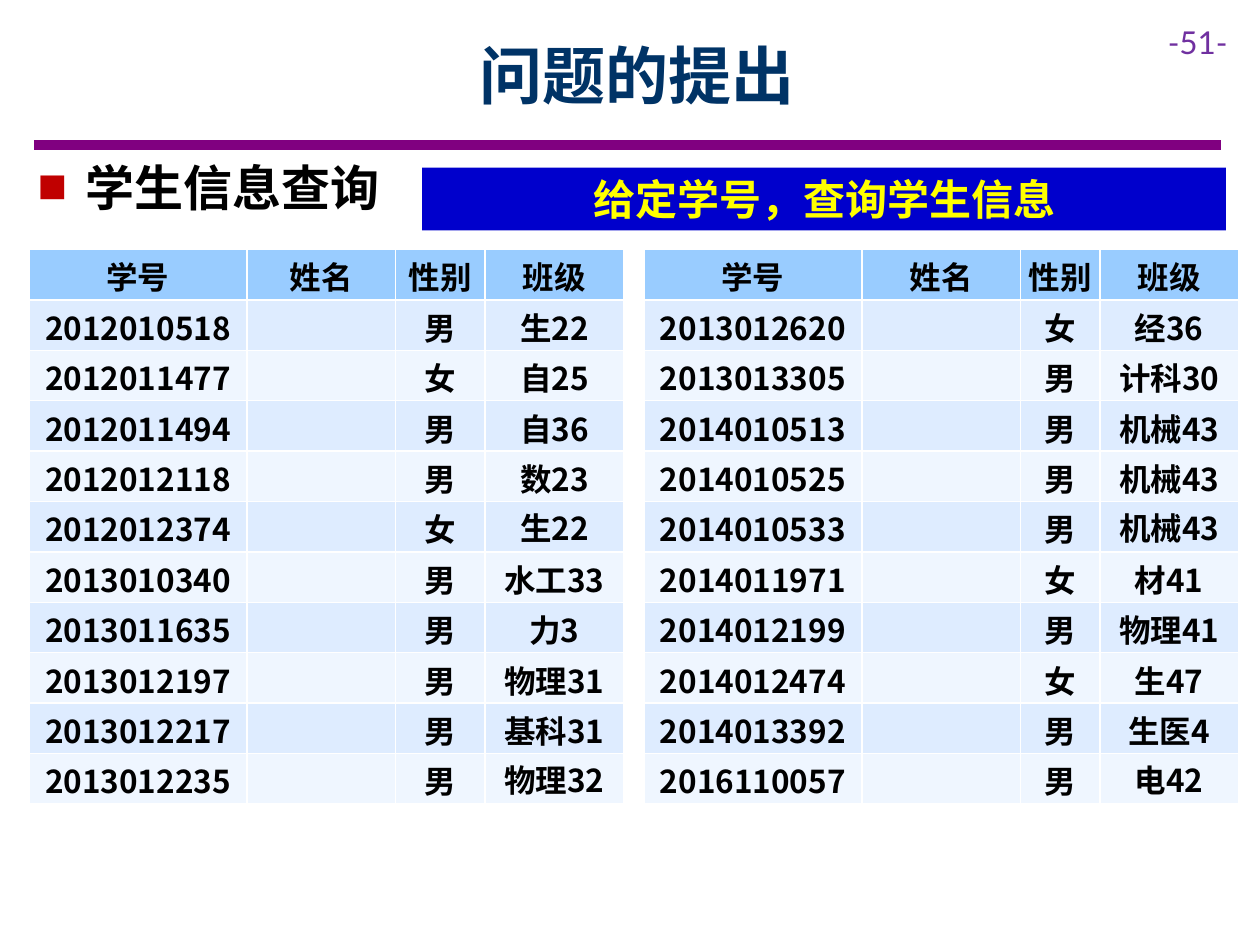
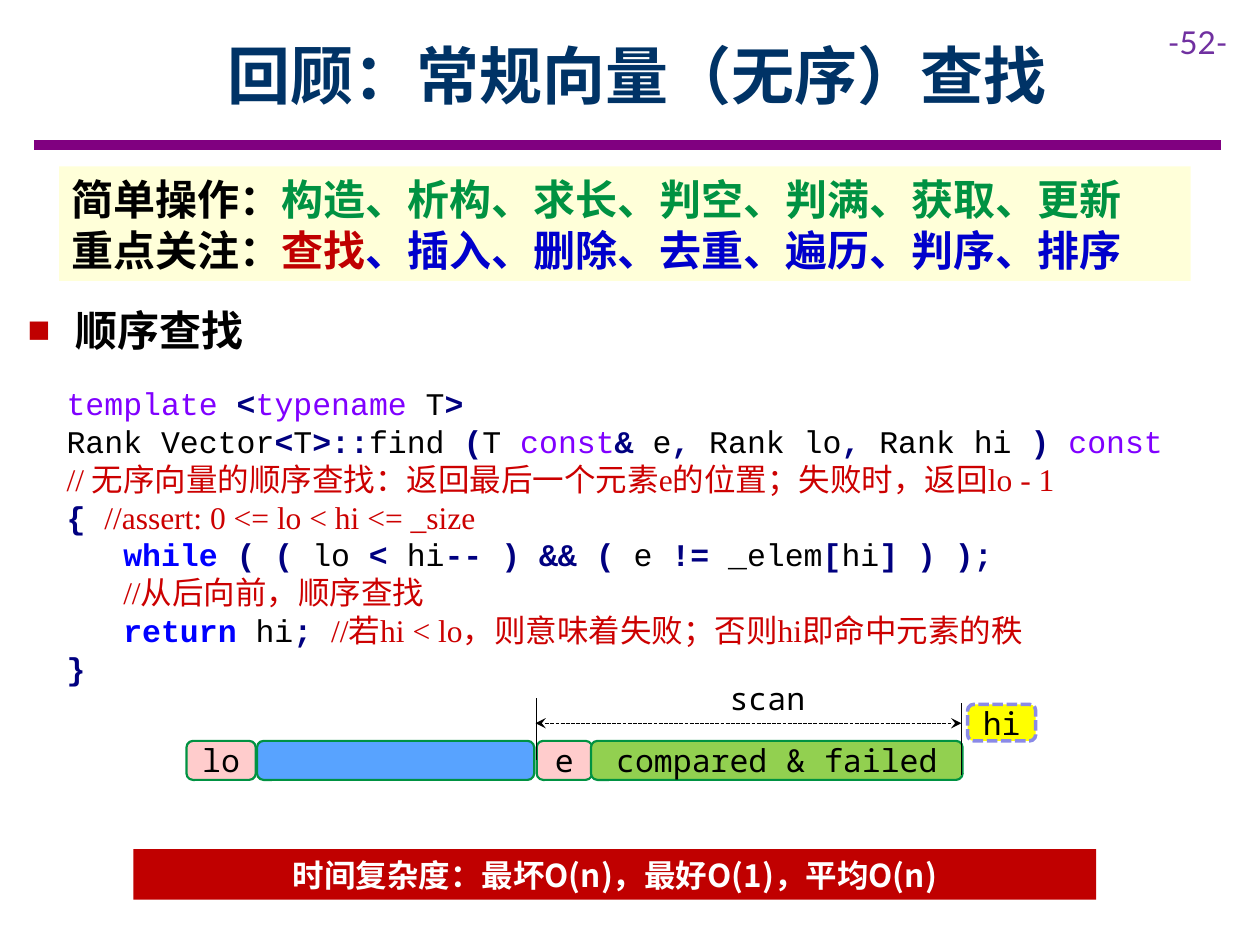
"""Build two lecture slides on searching: a student lookup and sequential search."""
from lxml import etree
from pptx import Presentation, util as u
from pptx.dml.color import RGBColor
from pptx.enum import dml, shapes, text
from pptx.oxml.ns import qn

rgb = RGBColor.from_string
CENTER, LEFT = text.PP_ALIGN.CENTER, text.PP_ALIGN.LEFT
MIDDLE, TOP = text.MSO_ANCHOR.MIDDLE, text.MSO_ANCHOR.TOP
RECT, ROUNDED = shapes.MSO_SHAPE.RECTANGLE, shapes.MSO_SHAPE.ROUNDED_RECTANGLE
SANS, MONO, COURIER, SERIF = "Noto Sans CJK SC", "Noto Sans Mono", "Courier New", "Times New Roman"
BLACK, NAVY, GREEN, RED, BLUE = "000000", "003366", "009242", "C00000", "0000CC"

presentation = Presentation()
presentation.slide_width, presentation.slide_height = u.Inches(10), u.Inches(7.5)
GRID = presentation.slide_width // 100


def write(frame, lines, size, align=CENTER, spacing=None):
    """Fill a text frame with lines of (text, (font, colour, bold)) runs."""
    for index, line in enumerate(lines):
        paragraph = frame.add_paragraph() if index else frame.paragraphs[0]
        paragraph.alignment = align
        if spacing:
            paragraph.line_spacing = u.Pt(spacing)
        for content, (name, colour, bold) in line:
            run = paragraph.add_run()
            run.text = content
            run.font.name, run.font.size, run.font.bold = name, u.Pt(size), bold
            run.font.color.rgb = rgb(colour)
            east_asian = etree.SubElement(run.font._element, qn("a:ea"))
            east_asian.set("typeface", SANS)


def add_box(slide, place, kind=None, fill=None, outline=None, anchor=MIDDLE):
    """Add a text box, or a filled preset shape, placed in grid units."""
    place = [round(value * GRID) for value in place]
    if kind is None:
        shape = slide.shapes.add_textbox(*place)
    else:
        shape = slide.shapes.add_shape(kind, *place)
        shape.shadow.inherit = False
        shape.fill.solid()
        shape.fill.fore_color.rgb = rgb(fill)
        if outline:
            shape.line.color.rgb = rgb(outline)
            shape.line.width = u.Pt(1.25)
        else:
            shape.line.fill.background()
    frame = shape.text_frame
    frame.word_wrap, frame.vertical_anchor = True, anchor
    frame.margin_top = frame.margin_bottom = 0
    if kind == ROUNDED:
        frame.margin_left = frame.margin_right = 0
    return shape


slides = []
for number, heading in enumerate(["问题的提出", "回顾：常规向量（无序）查找"], 51):
    slide = presentation.slides.add_slide(presentation.slide_layouts[5])
    title = slide.shapes.title
    title.left, title.top, title.width, title.height = [round(v * GRID) for v in (9, 0.9, 83.1, 10)]
    title.text_frame.vertical_anchor = MIDDLE
    write(title.text_frame, [[(heading, (SANS, NAVY, True))]], 36)
    page = add_box(slide, (91.7, 1.3, 8.3, 4))
    write(page.text_frame, [[(f"-{number}-", ("Lato", "7030A0", False))]], 18, LEFT)
    slides.append(slide)
lookup, search = slides

bullets = [
    (lookup, (2, 12.1, 33.1, 5.4), "学生信息查询", 28, 100),
    (search, (1.2, 24, 22.8, 4.4), "顺序查找", 24, 90),
]
for slide, place, content, size, bullet_size in bullets:
    frame = add_box(slide, place).text_frame
    properties = frame.paragraphs[0]._p.get_or_add_pPr()
    properties.set("marL", str(u.Inches(0.38)))
    properties.set("indent", str(-u.Inches(0.38)))
    colour = etree.SubElement(properties, qn("a:buClr"))
    etree.SubElement(colour, qn("a:srgbClr")).set("val", RED)
    etree.SubElement(properties, qn("a:buSzPct")).set("val", str(bullet_size * 1000))
    etree.SubElement(properties, qn("a:buFont")).set("typeface", SERIF)
    etree.SubElement(properties, qn("a:buChar")).set("char", "■")
    write(frame, [[(content, (SANS, BLACK, True))]], size, LEFT)

banners = [
    (lookup, (33.5, 13.3, 63.8, 5), BLUE, "给定学号，查询学生信息", "FFFF00", 24),
    (search, (10.6, 67.4, 76.4, 4), RED, "时间复杂度：最坏O(n)，最好O(1)，平均O(n)", "FFFFFF", 18),
]
for slide, place, fill, content, colour, size in banners:
    banner = add_box(slide, place, RECT, fill)
    write(banner.text_frame, [[(content, (SANS, colour, True))]], size)

students = [
    (2.3, (17.3, 11.8, 7.1, 11), """2012010518 男 生22
2012011477 女 自25
2012011494 男 自36
2012012118 男 数23
2012012374 女 生22
2013010340 男 水工33
2013011635 男 力3
2013012197 男 物理31
2013012217 男 基科31
2013012235 男 物理32"""),
    (51.1, (17.3, 12.6, 6.3, 11), """2013012620 女 经36
2013013305 男 计科30
2014010513 男 机械43
2014010525 男 机械43
2014010533 男 机械43
2014011971 女 材41
2014012199 男 物理41
2014012474 女 生47
2014013392 男 生医4
2016110057 男 电42"""),
]
for left, widths, records in students:
    rows = [["学号", "姓名", "性别", "班级"]]
    for record in records.splitlines():
        student, gender, group = record.split()
        rows.append([student, "", gender, group])
    place = [round(v * GRID) for v in (left, 19.8, sum(widths), 4 * len(rows))]
    table = lookup.shapes.add_table(len(rows), len(widths), *place).table
    for column, width in zip(table.columns, widths):
        column.width = round(width * GRID)
    for r, values in enumerate(rows):
        table.rows[r].height = 4 * GRID
        fill = "99CCFF" if r == 0 else "DEECFF" if r % 2 else "EFF6FF"
        for c, value in enumerate(values):
            cell = table.cell(r, c)
            cell.fill.solid()
            cell.fill.fore_color.rgb = rgb(fill)
            raised = r in (5, 10) and c == 3
            cell.vertical_anchor = MIDDLE if raised else TOP
            cell.margin_left = cell.margin_right = cell.margin_bottom = 0
            cell.margin_top = u.Inches(0.03) if value and not raised else 0
            if value:
                write(cell.text_frame, [[(value, (SANS, BLACK, True))]], 18)

summary = add_box(search, (4.7, 13.2, 89.8, 9.1), RECT, "FFFF99")
tint = summary._element.spPr.find(qn("a:solidFill"))[0]
etree.SubElement(tint, qn("a:alpha")).set("val", "37000")
label, basic = (SANS, BLACK, True), (SANS, GREEN, True)
focus, advanced = (SANS, RED, True), (SANS, BLUE, True)
write(summary.text_frame, [
    [("简单操作：", label), ("构造、析构、求长、判空、判满、获取、更新", basic)],
    [("重点关注：", label), ("查找", focus), ("、插入、删除、去重、遍历、判序、排序", advanced)],
], 24, LEFT, 29)

plain, operator = (COURIER, BLACK, False), (COURIER, "000080", True)
kind, keyword = (COURIER, "8000FF", False), (COURIER, "0000FF", True)
comment = (SERIF, "CC0000", False)
code = add_box(search, (4.3, 30.5, 92.1, 24.7), anchor=TOP)
write(code.text_frame, [
    [("template ", kind), ("<", operator), ("typename", kind), (" T", plain), (">", operator)],
    [("Rank Vector", plain), ("<", operator), ("T", plain), (">::", operator), ("find ", plain),
     ("(", operator), ("T ", plain), ("const", kind), ("&", operator), (" e", plain),
     (",", operator), (" Rank lo", plain), (",", operator), (" Rank hi ", plain),
     (") ", operator), ("const", kind)],
    [("// 无序向量的顺序查找：返回最后一个元素e的位置；失败时，返回lo - 1", comment)],
    [("{ ", operator), ("//assert: 0 <= lo < hi <= _size", comment)],
    [("   ", plain), ("while ", keyword), ("( (", operator), (" lo ", plain), ("<", operator),
     (" hi", plain), ("-- ) && (", operator), (" e ", plain), ("!=", operator),
     (" _elem", plain), ("[", operator), ("hi", plain), ("] ) );", operator)],
    [("   ", plain), ("//从后向前，顺序查找", comment)],
    [("   ", plain), ("return", keyword), (" hi", plain), ("; ", operator),
     ("//若hi < lo，则意味着失败；否则hi即命中元素的秩", comment)],
    [("}", operator)],
], 18, LEFT, 21.6)

segments = [
    ("", (20.4, 58.8, 22, 3.1), "58A3FF", GREEN),
    ("e", (42.6, 58.8, 4.4, 3.1), "FFCCCC", GREEN),
    ("compared & failed", (46.9, 58.8, 29.5, 3.1), "92D050", GREEN),
    ("lo", (14.8, 58.8, 5.5, 3.1), "FFCCCC", GREEN),
    ("hi", (76.8, 55.9, 5.4, 2.9), "FFFF00", "8A8AE7"),
]
for content, place, fill, outline in segments:
    segment = add_box(search, place, ROUNDED, fill, outline)
    if content:
        write(segment.text_frame, [[(content, (MONO, BLACK, False))]], 18)
segment.line.width, segment.line.dash_style = u.Pt(2), dml.MSO_LINE.SQUARE_DOT
scan = add_box(search, (54.3, 53.4, 13.2, 4))
write(scan.text_frame, [[("scan", (MONO, BLACK, False))]], 18)

rules = [(slide, (2.7, 11.5, 96.9, 11.5), "800080", 6, False) for slide in slides]
rules += [
    (search, (42.6, 60.3, 42.6, 55.4), BLACK, 0.75, False),
    (search, (76.3, 61.5, 76.3, 55.8), BLACK, 0.75, False),
    (search, (42.5, 57.4, 76.3, 57.4), BLACK, 0.75, True),
]
for slide, ends, colour, width, is_span in rules:
    ends = [round(value * GRID) for value in ends]
    connector = slide.shapes.add_connector(shapes.MSO_CONNECTOR.STRAIGHT, *ends)
    connector.line.color.rgb = rgb(colour)
    connector.line.width = u.Pt(width)
    properties = connector._element.spPr
    if is_span:
        connector.line.dash_style = dml.MSO_LINE.SQUARE_DOT
        for end in ("a:headEnd", "a:tailEnd"):
            etree.SubElement(properties.find(qn("a:ln")), qn(end)).set("type", "stealth")
    etree.SubElement(properties, qn("a:effectLst"))

presentation.save("out.pptx")
